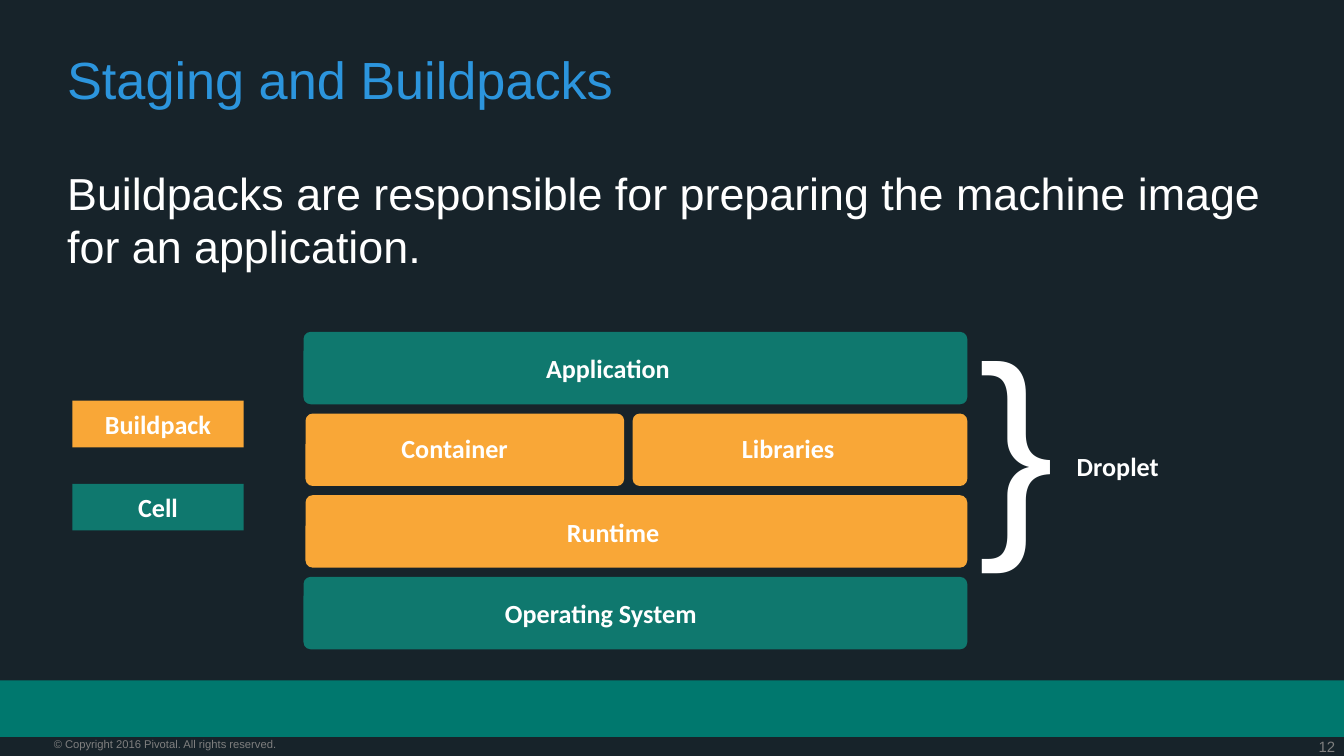
from lxml.etree import SubElement
from pptx import Presentation
from pptx.dml.color import RGBColor
from pptx.enum.shapes import MSO_SHAPE
from pptx.enum.text import MSO_ANCHOR, PP_ALIGN
from pptx.oxml.ns import qn
from pptx.util import Pt

COLORS = {
    "background": "17232A", "band": "00786E", "cell": "0F786E",
    "buildpack": "F9A737", "title": "2C95DD", "text": "FFFFFF", "footer": "7F7F7F",
}


def write(shape, text, size, color="text", font="Calibri", bold=False,
          align=PP_ALIGN.CENTER, anchor=MSO_ANCHOR.MIDDLE, inset=(4.3, 4.3),
          wrap=False, spacing=1.0, plain=False):
    frame = shape.text_frame
    frame.text = text
    across, down = (Pt(value) for value in inset)
    frame_format = {
        "word_wrap": wrap, "vertical_anchor": anchor,
        "margin_left": across, "margin_right": across,
        "margin_top": down, "margin_bottom": down,
    }
    for name, value in frame_format.items():
        setattr(frame, name, value)
    paragraph = frame.paragraphs[0]
    paragraph_format = {"alignment": align, "line_spacing": spacing, "space_before": Pt(0)}
    for name, value in paragraph_format.items():
        setattr(paragraph, name, value)
    if plain:  # no bullet, no hanging indent
        properties = paragraph._p.get_or_add_pPr()
        properties.set("marL", "0")
        properties.set("indent", "0")
        SubElement(properties, qn("a:buNone"))
    for name, value in {"name": font, "size": Pt(size), "bold": bold}.items():
        setattr(paragraph.font, name, value)
    paragraph.font.color.rgb = RGBColor.from_string(COLORS[color])


def block(kind, left, top, width, height, color):
    shape = slide.shapes.add_shape(kind, Pt(left), Pt(top), Pt(width), Pt(height))
    shape.shadow.inherit = False
    shape.fill.solid()
    shape.fill.fore_color.rgb = RGBColor.from_string(COLORS[color])
    shape.line.fill.background()
    return shape


deck = Presentation()
deck.slide_width, deck.slide_height = Pt(720), Pt(405)
slide = deck.slides.add_slide(deck.slide_layouts[1])
slide.background.fill.solid()
slide.background.fill.fore_color.rgb = RGBColor.from_string(COLORS["background"])

# Title and statement
title, statement = slide.placeholders
for placeholder, top, height, text, size, color, spacing in (
    (title, 25.7, 49, "Staging and Buildpacks", 28, "title", 0.9),
    (statement, 85, 270, "Buildpacks are responsible for preparing the machine image "
     "for an application.", 24, "text", 1.0),
):
    placeholder.left, placeholder.top = Pt(28.8), Pt(top)
    placeholder.width, placeholder.height = Pt(662.4), Pt(height)
    write(placeholder, text, size, color, "Arial", align=PP_ALIGN.LEFT,
          anchor=MSO_ANCHOR.TOP, inset=(7.2, 3.6), wrap=True, spacing=spacing, plain=True)

# Footer band, copyright and page number
block(MSO_SHAPE.RECTANGLE, 0, 364.5, 720, 30.3, "band")
for text, left, width, height, size, align in (
    ("© Copyright 2016 Pivotal. All rights reserved.", 28.8, 179, 7.2, 6, PP_ALIGN.LEFT),
    ("12", 673.5, 41.8, 10, 8, PP_ALIGN.RIGHT),
):
    footer = slide.shapes.add_textbox(Pt(left), Pt(395), Pt(width), Pt(height))
    write(footer, text, size, "footer", "Arial", align=align,
          anchor=MSO_ANCHOR.TOP, inset=(0, 0), wrap=True)

# Droplet layers: row, left, width, colour
ROW_TOP, ROW_STEP, ROW_HEIGHT = 177.8, 43.75, 38.8
for row, left, width, color in (
    (0, 162.6, 355.6, "cell"),
    (1, 163.7, 170.7, "buildpack"),
    (1, 338.9, 179.3, "buildpack"),
    (2, 163.7, 354.5, "buildpack"),
    (3, 162.6, 355.6, "cell"),
):
    layer = block(MSO_SHAPE.ROUNDED_RECTANGLE, left, ROW_TOP + row * ROW_STEP,
                  width, ROW_HEIGHT, color)
    layer.adjustments[0] = 0.1

# Layer names, brace and droplet name
for text, left, top, width, height, font, size in (
    ("Application", 281.4, 184.7, 88.6, 25.2, "Calibri", 14),
    ("Libraries", 388.5, 227.4, 67.6, 25.2, "Calibri", 14),
    ("Runtime", 295.7, 272.5, 65.6, 25.2, "Calibri", 14),
    ("}", 520.0, 155.0, 49.0, 156.2, "Arial", 122),
    ("Droplet", 568.6, 237.2, 60.5, 25.2, "Calibri", 14),
):
    label = slide.shapes.add_textbox(Pt(left), Pt(top), Pt(width), Pt(height))
    write(label, text, size, font=font, bold=font == "Calibri")

# Filled names and legend
for text, left, top, width, color in (
    ("Container", 205.7, 227.4, 75.8, "buildpack"),
    ("Operating System", 255.6, 316.1, 132.6, "cell"),
    ("Buildpack", 38.8, 214.7, 91.7, "buildpack"),
    ("Cell", 38.8, 259.2, 91.7, "cell"),
):
    key = block(MSO_SHAPE.RECTANGLE, left, top, width, 25, color)
    write(key, text, 14, bold=True)

deck.save("out.pptx")
